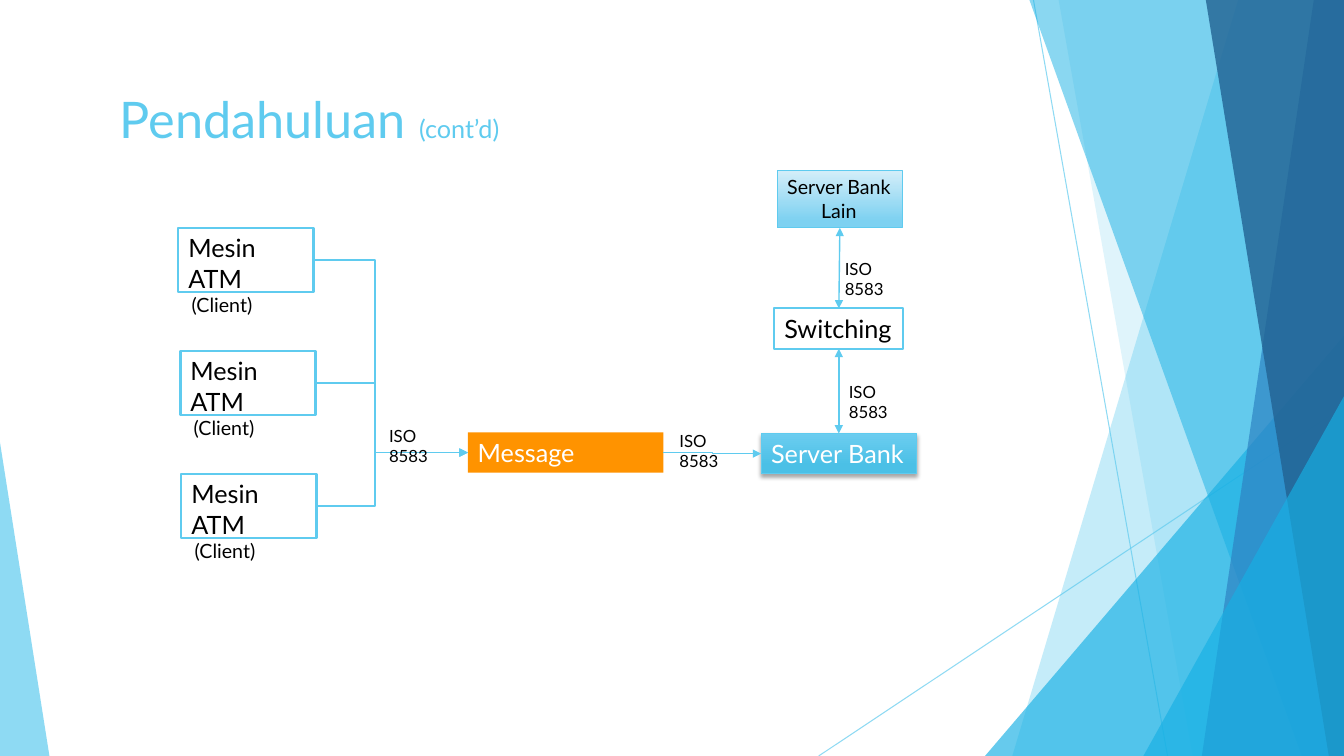
from lxml.etree import SubElement
from pptx import Presentation
from pptx.dml.color import RGBColor
from pptx.enum.shapes import MSO_CONNECTOR as CONN, MSO_SHAPE as SHAPE
from pptx.enum.text import MSO_ANCHOR as ANCHOR, MSO_AUTO_SIZE as FIT, PP_ALIGN as ALIGN
from pptx.oxml.ns import qn
from pptx.util import Inches, Pt

SKY = RGBColor(0x5F, 0xCB, 0xEF)
CYAN = RGBColor(0x17, 0xB0, 0xE4)
BLUE = RGBColor(0x2E, 0x83, 0xC3)
NAVY = RGBColor(0x22, 0x62, 0x92)
ORANGE = RGBColor(0xFF, 0x93, 0x00)
WHITE = RGBColor(0xFF, 0xFF, 0xFF)
BLACK = RGBColor(0x00, 0x00, 0x00)
BANK_TOP = RGBColor(0x6C, 0xCD, 0xF0)
BANK_END = RGBColor(0x4B, 0xC0, 0xE6)
OTHER_TOP = RGBColor(0xD4, 0xEE, 0xF9)
OTHER_END = RGBColor(0x7D, 0xD1, 0xF1)
FONT = "Lato"
WIDTH, HEIGHT = 13.33, 7.5
BEND_X = 3.72
TOP, LEFT, BOTTOM, RIGHT = range(4)


def set_alpha(fill, percent):
    color = fill._xPr.find(f"{qn('a:solidFill')}/{qn('a:srgbClr')}")
    SubElement(color, qn("a:alpha"), val=str(percent * 1000))


def paint(s, color, percent):
    s.shadow.inherit = False
    s.fill.solid()
    s.fill.fore_color.rgb = color
    set_alpha(s.fill, percent)
    s.line.fill.background()


def add_band(slide, points, color, percent):
    start, *rest = [(Inches(x), Inches(y)) for x, y in points]
    builder = slide.shapes.build_freeform(*start)
    builder.add_line_segments(rest, close=True)
    paint(builder.convert_to_shape(), color, percent)


def add_triangle(slide, left, top, width, apex, color):
    s = slide.shapes.add_shape(SHAPE.ISOSCELES_TRIANGLE, Inches(left), Inches(top),
                               Inches(width), Inches(HEIGHT - top))
    s.adjustments[0] = apex
    paint(s, color, 66 if color == CYAN else 70)


def add_line(slide, kind, begin, end, width):
    s = slide.shapes.add_connector(kind, *map(Inches, begin + end))
    s.line.color.rgb = SKY
    s.line.width = Pt(width)
    SubElement(s._element.spPr, qn("a:effectLst"))
    return s


def add_arrow(slide, kind, source, source_side, target, target_side, both=False):
    s = add_line(slide, kind, (0, 0), (1, 1), 1)
    s.begin_connect(source, source_side)
    s.end_connect(target, target_side)
    ln = s.line._get_or_add_ln()
    if both:
        SubElement(ln, qn("a:headEnd"), type="triangle")
    SubElement(ln, qn("a:tailEnd"), type="triangle")
    return s


def bend_at(s, x):
    ratio = (Inches(x) - s.begin_x) / (s.end_x - s.begin_x)
    guides = s._element.spPr.find(qn("a:prstGeom")).get_or_add_avLst()
    SubElement(guides, qn("a:gd"), name="adj1", fmla=f"val {round(ratio * 100000)}")


def write(s, lines, color):
    tf = s.text_frame
    tf.word_wrap = False
    tf.auto_size = FIT.SHAPE_TO_FIT_TEXT
    tf.vertical_anchor = ANCHOR.TOP
    for i, (text, size) in enumerate(lines):
        p = tf.add_paragraph() if i else tf.paragraphs[0]
        p.text = text
        p.alignment = ALIGN.CENTER if i else ALIGN.LEFT
        p.font.name = FONT
        p.font.size = Pt(size)
        p.font.color.rgb = color


def add_node(slide, box, lines, color=BLACK, fill=WHITE, line=1.5):
    s = slide.shapes.add_shape(SHAPE.RECTANGLE, *map(Inches, box))
    s.shadow.inherit = False
    s.fill.solid()
    s.fill.fore_color.rgb = fill
    if line:
        s.line.color.rgb = SKY
        s.line.width = Pt(line)
    else:
        s.line.fill.background()
    write(s, lines, color)
    return s


def shade(s, first, last, position):
    s.fill.gradient()
    s.fill.gradient_angle = 270
    start, end = s.fill.gradient_stops
    start.color.rgb, start.position = first, 0
    end.color.rgb, end.position = last, position


def drop_shadow(s):
    effects = s._element.spPr.find(qn("a:effectLst"))
    shadow = SubElement(effects, qn("a:outerShdw"), blurRad=str(Pt(3)), dist=str(Pt(2)),
                        dir="5400000", rotWithShape="0")
    color = SubElement(shadow, qn("a:srgbClr"), val="000000")
    SubElement(color, qn("a:alpha"), val="35000")


def add_label(slide, left, top):
    s = slide.shapes.add_textbox(*map(Inches, (left, top, 0.85, 0.3)))
    write(s, [("ISO 8583", 12)], BLACK)


def add_title(slide):
    s = slide.shapes.add_textbox(*map(Inches, (1.09, 0.82, 6.97, 0.75)))
    s.text_frame.word_wrap = True
    p = s.text_frame.paragraphs[0]
    p.font.name = FONT
    p.font.color.rgb = SKY
    for text, size in (("Pendahuluan ", 36), ("(cont’d)", 18)):
        r = p.add_run()
        r.text = text
        r.font.size = Pt(size)


def add_backdrop(slide):
    for begin, end in (((10.25, 0), (11.58, HEIGHT)), ((WIDTH, 4.03), (8.12, HEIGHT))):
        s = add_line(slide, CONN.STRAIGHT, begin, end, 0.75)
        set_alpha(s.line.fill, 70)

    def band(top_x, bottom_x, color, percent):
        points = [(top_x, 0), (WIDTH, 0), (WIDTH, HEIGHT), (bottom_x, HEIGHT)]
        add_band(slide, points, color, percent)

    band(12.28, 10.04, SKY, 36)
    band(10.5, 11.83, SKY, 20)
    add_triangle(slide, 9.77, 3.33, 3.56, 1, CYAN)
    band(10.21, 12.91, CYAN, 50)
    band(13.03, 11.92, BLUE, 70)
    band(11.96, 13.18, NAVY, 80)
    add_triangle(slide, 11.34, 3.93, 1.99, 1, CYAN)
    add_triangle(slide, 0, 4.39, 0.49, 0, SKY)


def add_diagram(slide):
    machines = [add_node(slide, (left, 2.26 + 1.22 * i, 1.34, 0.64),
                         [("Mesin ATM", 18), ("(Client)", 14)])
                for i, left in enumerate((1.77, 1.79, 1.8))]
    message = add_node(slide, (4.64, 4.29, 1.94, 0.4), [("Message", 18)],
                       WHITE, ORANGE, 0)
    message.text_frame.word_wrap = True
    message.text_frame.auto_size = FIT.NONE
    bank = add_node(slide, (7.55, 4.3, 1.54, 0.4), [("Server Bank", 18)], WHITE, line=1)
    shade(bank, BANK_TOP, BANK_END, 0.78)
    drop_shadow(bank)
    other = add_node(slide, (7.71, 1.69, 1.24, 0.57), [("Server Bank", 14), ("Lain", 14)],
                     line=1)
    shade(other, OTHER_TOP, OTHER_END, 0.88)
    switch = add_node(slide, (7.68, 3.06, 1.28, 0.4), [("Switching", 18)])

    for machine in machines:
        bend_at(add_arrow(slide, CONN.ELBOW, machine, RIGHT, message, LEFT), BEND_X)
    add_arrow(slide, CONN.ELBOW, message, RIGHT, bank, LEFT)
    add_arrow(slide, CONN.STRAIGHT, switch, BOTTOM, bank, TOP, both=True)
    add_arrow(slide, CONN.STRAIGHT, other, BOTTOM, switch, TOP, both=True)
    for left, top in ((3.76, 4.17), (6.64, 4.22), (8.32, 3.74), (8.28, 2.52)):
        add_label(slide, left, top)


def main():
    prs = Presentation()
    prs.slide_width, prs.slide_height = Inches(WIDTH), Inches(HEIGHT)
    slide = prs.slides.add_slide(prs.slide_layouts[6])
    add_backdrop(slide)
    add_title(slide)
    add_diagram(slide)
    prs.save("out.pptx")


if __name__ == "__main__":
    main()
